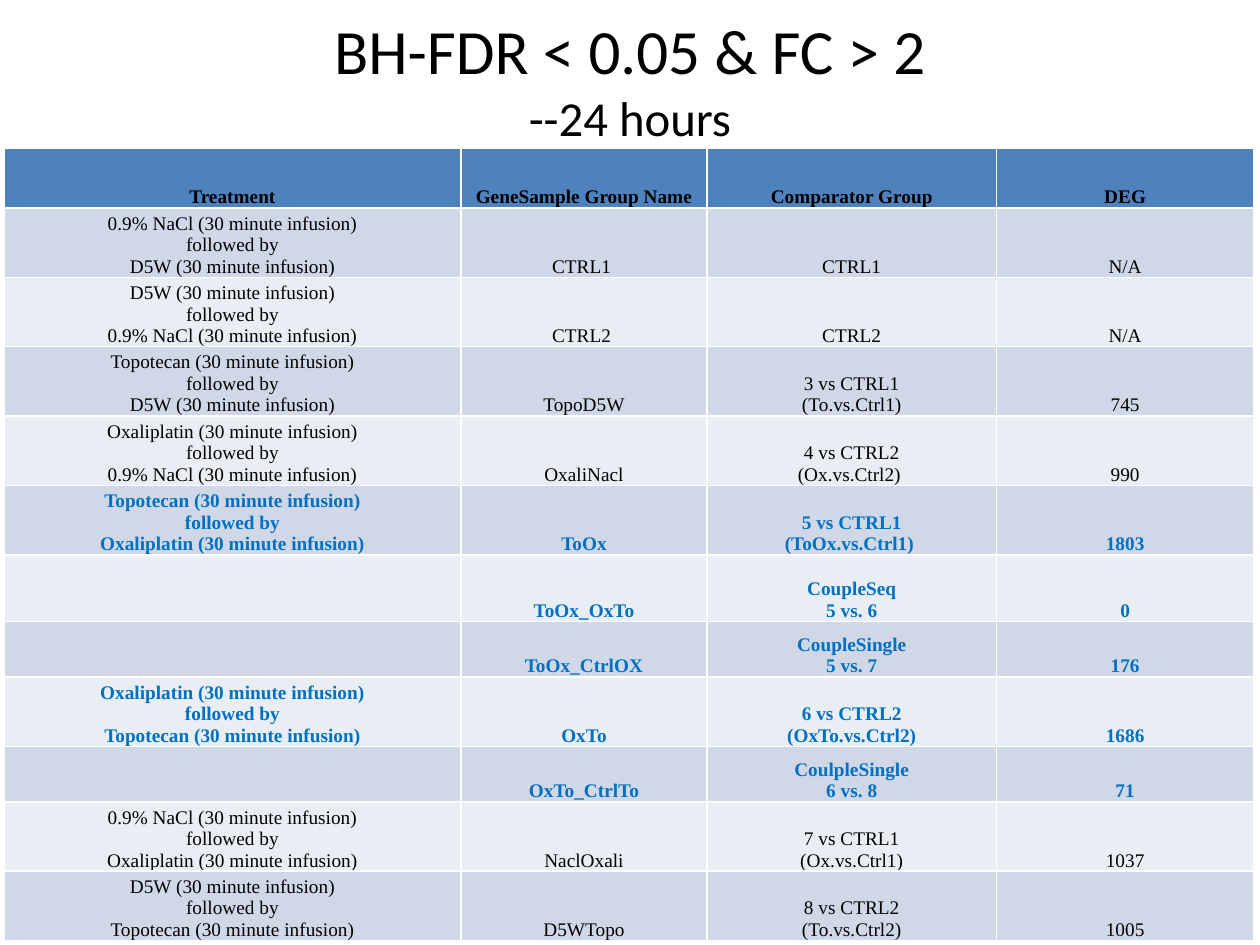
from pptx import Presentation
from pptx.dml.color import RGBColor
from pptx.enum.text import MSO_ANCHOR, PP_ALIGN
from pptx.util import Inches, Pt

COLORS = {
    "text": "000000",
    "accent": "0070C0",
    "header": "4F81BD",
    "dark band": "D0D8E8",
    "light band": "E9EDF4",
}
TALL, SHORT = 0.53, 0.44
COLUMN_WIDTHS = [3.63, 1.95, 2.3, 2.04]
HEADINGS = ["Treatment", "GeneSample Group Name", "Comparator Group", "DEG"]

SALINE = "0.9% NaCl (30 minute infusion)"
DEXTROSE = "D5W (30 minute infusion)"
TOPOTECAN = "Topotecan (30 minute infusion)"
OXALIPLATIN = "Oxaliplatin (30 minute infusion)"

GROUPS = [
    ([SALINE, DEXTROSE], "CTRL1 ", "CTRL1", "N/A", False),
    ([DEXTROSE, SALINE], "CTRL2 ", "CTRL2", "N/A", False),
    ([TOPOTECAN, DEXTROSE], "TopoD5W", "3 vs CTRL1\n(To.vs.Ctrl1)", "745", False),
    ([OXALIPLATIN, SALINE], "OxaliNacl", "4 vs CTRL2\n(Ox.vs.Ctrl2) ", "990", False),
    ([TOPOTECAN, OXALIPLATIN], "ToOx", "5 vs CTRL1\n(ToOx.vs.Ctrl1) ", "1803", True),
    ([], "ToOx_OxTo", "CoupleSeq\n5 vs. 6", "0", True),
    ([], "ToOx_CtrlOX", "CoupleSingle\n5 vs. 7", "176", True),
    ([OXALIPLATIN, TOPOTECAN], "OxTo", "6 vs CTRL2\n(OxTo.vs.Ctrl2)", "1686", True),
    ([], "OxTo_CtrlTo", "CoulpleSingle\n6 vs. 8", "71", True),
    ([SALINE, OXALIPLATIN], "NaclOxali", "7 vs CTRL1\n(Ox.vs.Ctrl1)", "1037", False),
    ([DEXTROSE, TOPOTECAN], "D5WTopo", "8 vs CTRL2\n(To.vs.Ctrl2)", "1005", False),
]
ROW_HEIGHTS = [0.47] + [TALL] * 6 + [SHORT, TALL, SHORT, TALL, TALL]


def write(para, text, *, size=11, font="Times New Roman", color="text", bold=False):
    para.alignment = PP_ALIGN.CENTER
    span = para.add_run()
    span.text = text
    span.font.size = Pt(size)
    span.font.name = font
    span.font.bold = bold
    span.font.color.rgb = RGBColor.from_string(COLORS[color])


deck = Presentation()
deck.slide_width, deck.slide_height = Inches(10), Inches(7.5)
page = deck.slides.add_slide(deck.slide_layouts[6])

title = page.shapes.add_textbox(Inches(0.5), 0, Inches(9), Inches(1.25))
title.text_frame.word_wrap = True
title.text_frame.vertical_anchor = MSO_ANCHOR.MIDDLE
heading = title.text_frame.paragraphs[0]
write(heading, "BH-FDR < 0.05 & FC > 2", size=36, font="Calibri")
heading.add_line_break()
write(heading, "--24 hours", size=27.9, font="Calibri")

table = page.shapes.add_table(
    len(ROW_HEIGHTS), len(COLUMN_WIDTHS), Inches(0.03), Inches(1.18),
    Inches(sum(COLUMN_WIDTHS)), Inches(sum(ROW_HEIGHTS)),
).table
for column, width in zip(table.columns, COLUMN_WIDTHS):
    column.width = Inches(width)
for row, height in zip(table.rows, ROW_HEIGHTS):
    row.height = Inches(height)

rows = [(HEADINGS, "header", "text", True)]
for number, (infusions, group, comparator, genes, highlighted) in enumerate(GROUPS):
    treatment = "\nfollowed by\n".join(infusions)
    band = "light band" if number % 2 else "dark band"
    color = "accent" if highlighted else "text"
    rows.append(([treatment, group, comparator, genes], band, color, highlighted))

for row_number, (texts, background, color, bold) in enumerate(rows):
    for column_number, text in enumerate(texts):
        cell = table.cell(row_number, column_number)
        cell.vertical_anchor = MSO_ANCHOR.BOTTOM
        cell.margin_left = cell.margin_right = Inches(0.07)
        cell.margin_top = cell.margin_bottom = 0
        cell.fill.solid()
        cell.fill.fore_color.rgb = RGBColor.from_string(COLORS[background])
        for index, line in enumerate(text.splitlines()):
            para = cell.text_frame.add_paragraph() if index else cell.text_frame.paragraphs[0]
            write(para, line, color=color, bold=bold)

deck.save("out.pptx")
